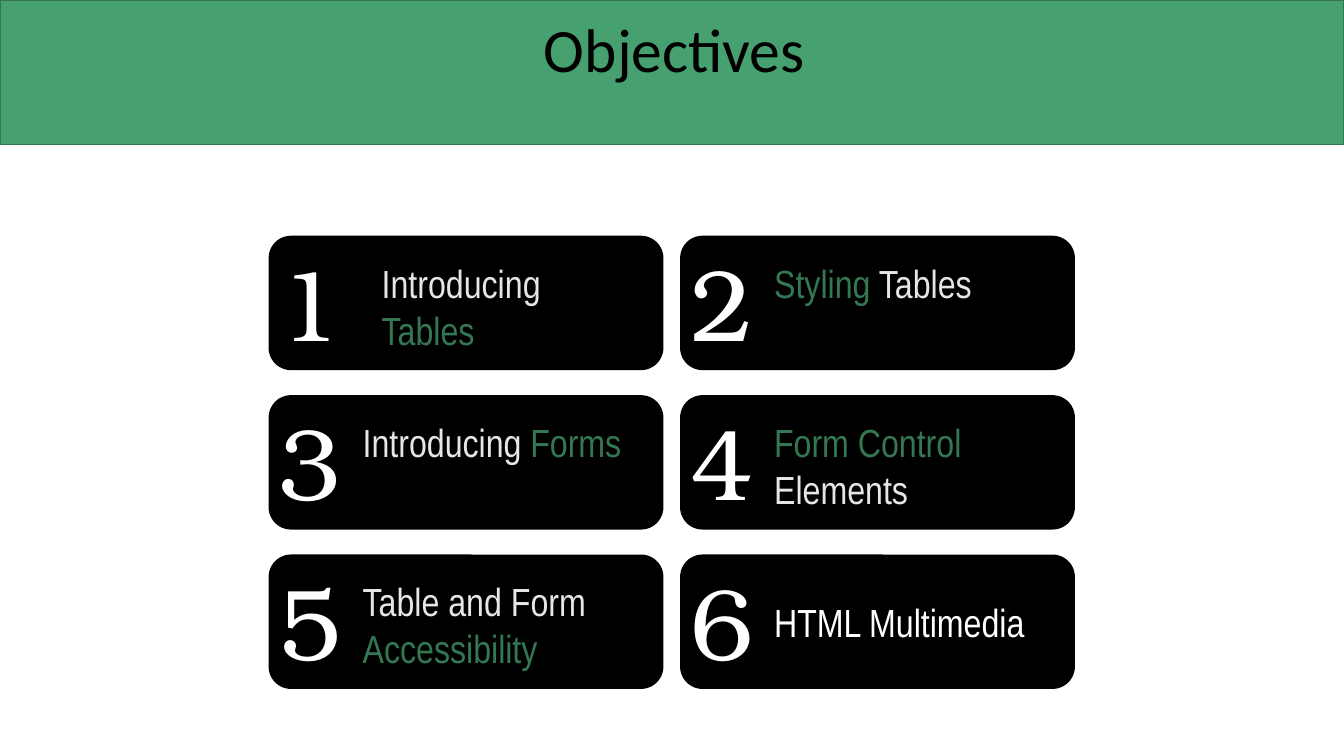
from collections import namedtuple
from dataclasses import dataclass

from pptx import Presentation
from pptx.dml.color import RGBColor
from pptx.enum.shapes import MSO_SHAPE
from pptx.enum.text import MSO_ANCHOR, PP_ALIGN
from pptx.util import Cm, Pt

Box = namedtuple("Box", "left top width height")
Objective = namedtuple("Objective", "spans indent drop width height", defaults=(2.12, 0.46, 7.19, 1.45))


@dataclass(frozen=True)
class Theme:
    band: RGBColor = RGBColor(0x46, 0xA0, 0x6F)
    band_line: RGBColor = RGBColor(0x34, 0x76, 0x52)
    card: RGBColor = RGBColor(0, 0, 0)
    title: RGBColor = RGBColor(0, 0, 0)
    plain: RGBColor = RGBColor(0xE7, 0xE6, 0xE6)
    accent: RGBColor = RGBColor(0x34, 0x78, 0x53)
    white: RGBColor = RGBColor(0xFF, 0xFF, 0xFF)
    title_font: str = "Calibri"
    label_font: str = "Arial Narrow"
    number_font: str = "TeX Gyre Bonum"
    title_size: int = 44
    label_size: int = 28
    number_size: int = 72


THEME = Theme()

OBJECTIVES = [
    Objective([("Introducing ", THEME.plain), ("Tables", THEME.accent)], indent=2.6, width=6.35, height=2.64),
    Objective([("Styling", THEME.accent), (" Tables", THEME.plain)]),
    Objective([("Introducing ", THEME.plain), ("Forms", THEME.accent)]),
    Objective([("Form Control ", THEME.accent), ("Elements", THEME.plain)], height=2.64),
    Objective([("Table and Form ", THEME.plain), ("Accessibility", THEME.accent)], width=7.62, height=2.64),
    Objective([("HTML Multimedia", THEME.white)], drop=0.97),
]


def in_cm(box):
    return [Cm(length) for length in box]


def add_panel(page, kind, box, fill, line=None):
    panel = page.shapes.add_shape(kind, *in_cm(box))
    panel.shadow.inherit = False
    panel.fill.solid()
    panel.fill.fore_color.rgb = fill
    if line is None:
        panel.line.fill.background()
    else:
        panel.line.color.rgb = line
        panel.line.width = Pt(1)


def add_text(page, box, spans, font, size, anchor=MSO_ANCHOR.TOP, spacing=1.0):
    frame = page.shapes.add_textbox(*in_cm(box)).text_frame
    frame.word_wrap = True
    frame.vertical_anchor = anchor
    para = frame.paragraphs[0]
    para.alignment = PP_ALIGN.LEFT
    para.line_spacing = spacing
    for words, color in spans:
        span = para.add_run()
        span.text = words
        span.font.name = font
        span.font.size = Pt(size)
        span.font.color.rgb = color


def add_header(page, box):
    add_panel(page, MSO_SHAPE.RECTANGLE, box, THEME.band, THEME.band_line)
    title_box = Box(box.left + 13.46, box.top - 0.51, 29.21 - 8.8, 3.68)
    add_text(page, title_box, [("Objectives", THEME.title)], THEME.title_font,
             THEME.title_size, MSO_ANCHOR.MIDDLE, 0.9)


def add_card(page, box, number, objective):
    add_panel(page, MSO_SHAPE.ROUNDED_RECTANGLE, box, THEME.card)
    label_box = Box(box.left + objective.indent, box.top + objective.drop, objective.width, objective.height)
    add_text(page, label_box, objective.spans, THEME.label_font, THEME.label_size)
    number_box = Box(box.left, box.top, 1.9, 3.33)
    add_text(page, number_box, [(str(number), THEME.white)], THEME.number_font, THEME.number_size)


def add_card_grid(page, box, columns=2, gap_across=0.42, gap_down=0.63):
    rows = len(OBJECTIVES) // columns
    width = (box.width - gap_across * (columns - 1)) / columns
    height = (box.height - gap_down * (rows - 1)) / rows
    for index, objective in enumerate(OBJECTIVES):
        row, column = divmod(index, columns)
        card = Box(box.left + column * (width + gap_across),
                   box.top + row * (height + gap_down), width, height)
        add_card(page, card, index + 1, objective)


def main():
    deck = Presentation()
    deck.slide_width, deck.slide_height = Cm(33.87), Cm(19.05)
    page = deck.slides.add_slide(deck.slide_layouts[6])
    add_header(page, Box(0, 0, 33.87, 3.64))
    add_card_grid(page, Box(6.77, 5.94, 20.32, 11.42))
    deck.save("out.pptx")


if __name__ == "__main__":
    main()
